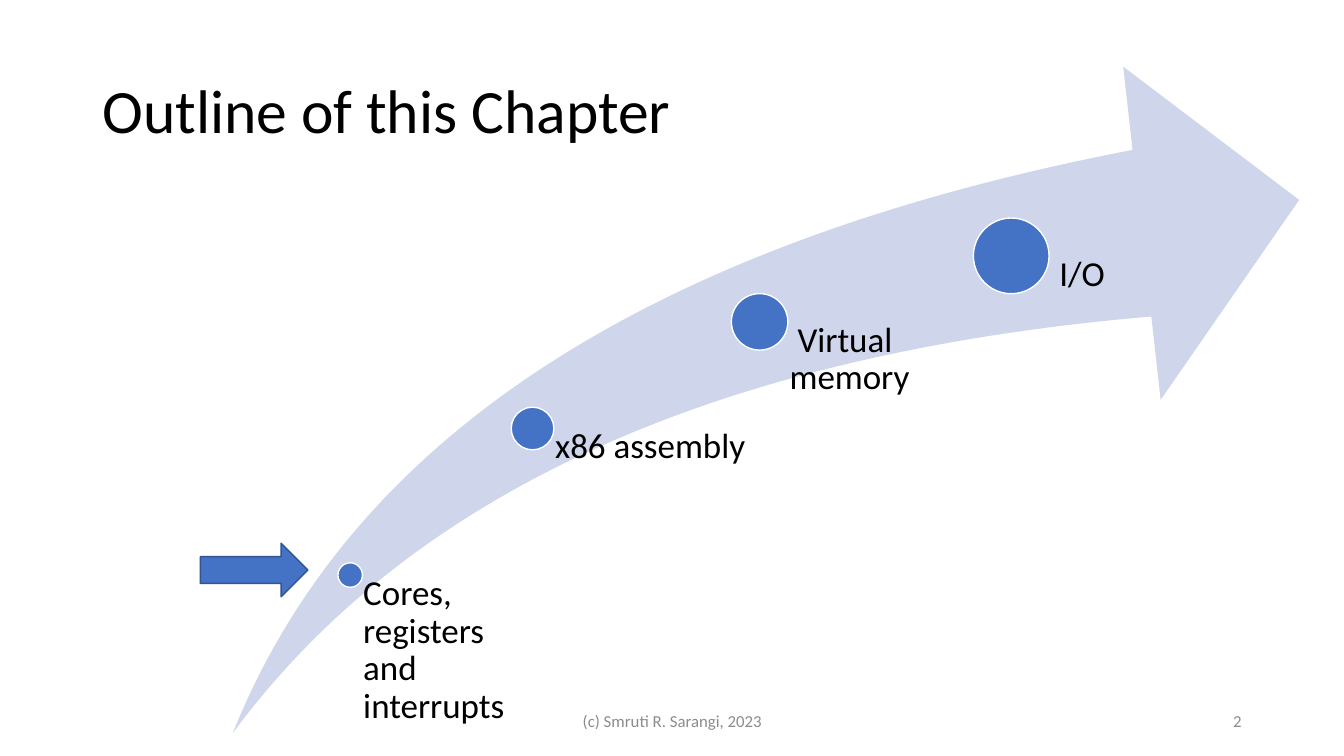
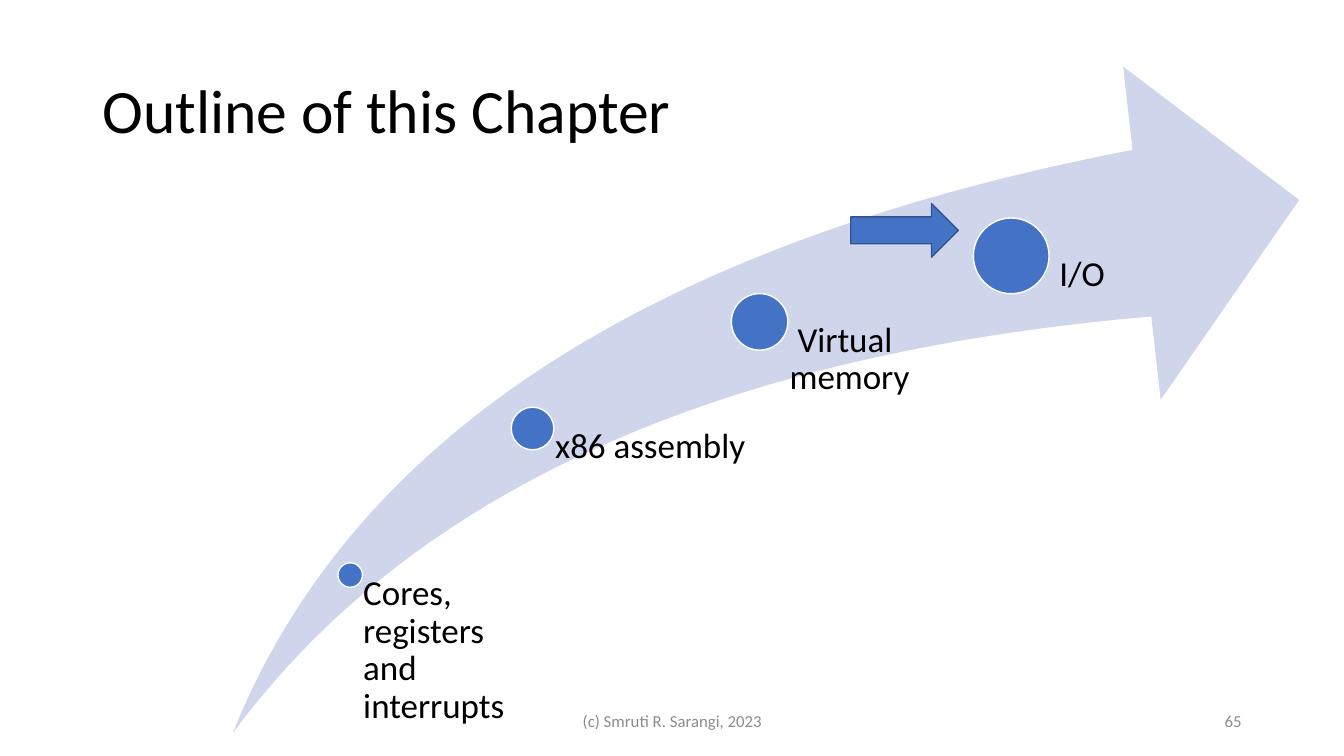
import pptx
import pptx.dml.color
import pptx.enum.shapes
import pptx.enum.text
import pptx.util

Cm = pptx.util.Cm
Pt = pptx.util.Pt
Color = pptx.dml.color.RGBColor
Shape = pptx.enum.shapes.MSO_SHAPE
Align = pptx.enum.text.PP_ALIGN
Anchor = pptx.enum.text.MSO_ANCHOR

BLUE = Color(0x44, 0x72, 0xC4)
NAVY = Color(0x32, 0x54, 0x91)
PALE = Color(0xCF, 0xD5, 0xEA)
GRAY = Color(0x8C, 0x8C, 0x8C)
BLACK = Color(0, 0, 0)
WHITE = Color(255, 255, 255)
FONT = "Calibri"

TITLE = (2.33, 1.01, 29.21, 3.68)
SWOOSH = (5.87, 1.68, 26.87, 16.79)
FOOT = (11.23, 17.65, 11.43, 1.02)
PAGE = (23.92, 17.65, 7.62, 1.02)
MARK = (2.71, 1.35)

# Each topic: text, centre x, centre y, dot size and label width as shares of the box.
TOPICS = (
    ("Cores, registers and interrupts", 0.11, 0.763, 0.023, 0.171),
    ("x86 assembly", 0.281, 0.543, 0.04, 0.21),
    (" Virtual memory", 0.494, 0.383, 0.053, 0.21),
    (" I/O", 0.73, 0.284, 0.071, 0.21),
)
SLIDES = ((2, 5.05, 13.69), (65, 21.44, 5.13))


def add_text(slide, box, text, size, color, align=Align.LEFT, anchor=Anchor.MIDDLE):
    """Place one paragraph of text in a box and return its frame."""
    frame = slide.shapes.add_textbox(*map(Cm, box)).text_frame
    frame.word_wrap = True
    frame.vertical_anchor = anchor
    frame.text = text
    para = frame.paragraphs[0]
    para.alignment = align
    font = para.runs[0].font
    font.name, font.size = FONT, Pt(size)
    font.color.rgb = color
    return frame


def add_form(slide, kind, box, fill, line=None):
    """Place a filled preset shape, with an outline if a colour is given."""
    form = slide.shapes.add_shape(kind, *map(Cm, box))
    form.shadow.inherit = False
    form.fill.solid()
    form.fill.fore_color.rgb = fill
    if line is None:
        form.line.fill.background()
    else:
        form.line.color.rgb = line
        form.line.width = Pt(1)
    return form


def add_topic(slide, box, topic):
    """Place a dot on the swoosh with its label below and to the right."""
    left, top, width, height = box
    text, across, down, size, span = topic
    x, y, dot = left + across * width, top + down * height, size * width
    add_form(slide, Shape.OVAL, (x - dot / 2, y - dot / 2, dot, dot), BLUE, WHITE)
    label = (x, y, span * width, top + height - y)
    frame = add_text(slide, label, text, 25, BLACK, anchor=Anchor.TOP)
    frame.margin_left = Cm(0.53 * dot)
    frame.margin_top = frame.margin_right = frame.margin_bottom = 0
    frame.paragraphs[0].line_spacing = 0.9


def add_path(slide, box):
    """Draw the swoosh and the topics along it."""
    swoosh = add_form(slide, Shape.SWOOSH_ARROW, box, PALE)
    swoosh.adjustments[0] = swoosh.adjustments[1] = 0.25
    for topic in TOPICS:
        add_topic(slide, box, topic)


def add_frame(slide, page):
    """Place the title, the footer and the page number."""
    title = add_text(slide, TITLE, "Outline of this Chapter", 44, BLACK)
    title.paragraphs[0].line_spacing = 0.9
    add_text(slide, PAGE, str(page), 12, GRAY, Align.RIGHT)
    add_text(slide, FOOT, "(c) Smruti R. Sarangi, 2023", 12, GRAY, Align.CENTER)


def main():
    """Build the outline slides and save them."""
    deck = pptx.Presentation()
    deck.slide_width, deck.slide_height = Cm(33.87), Cm(19.05)
    for page, left, top in SLIDES:
        slide = deck.slides.add_slide(deck.slide_layouts[6])
        add_path(slide, SWOOSH)
        add_form(slide, Shape.RIGHT_ARROW, (left, top, *MARK), BLUE, NAVY)
        add_frame(slide, page)
    deck.save("out.pptx")


if __name__ == "__main__":
    main()
